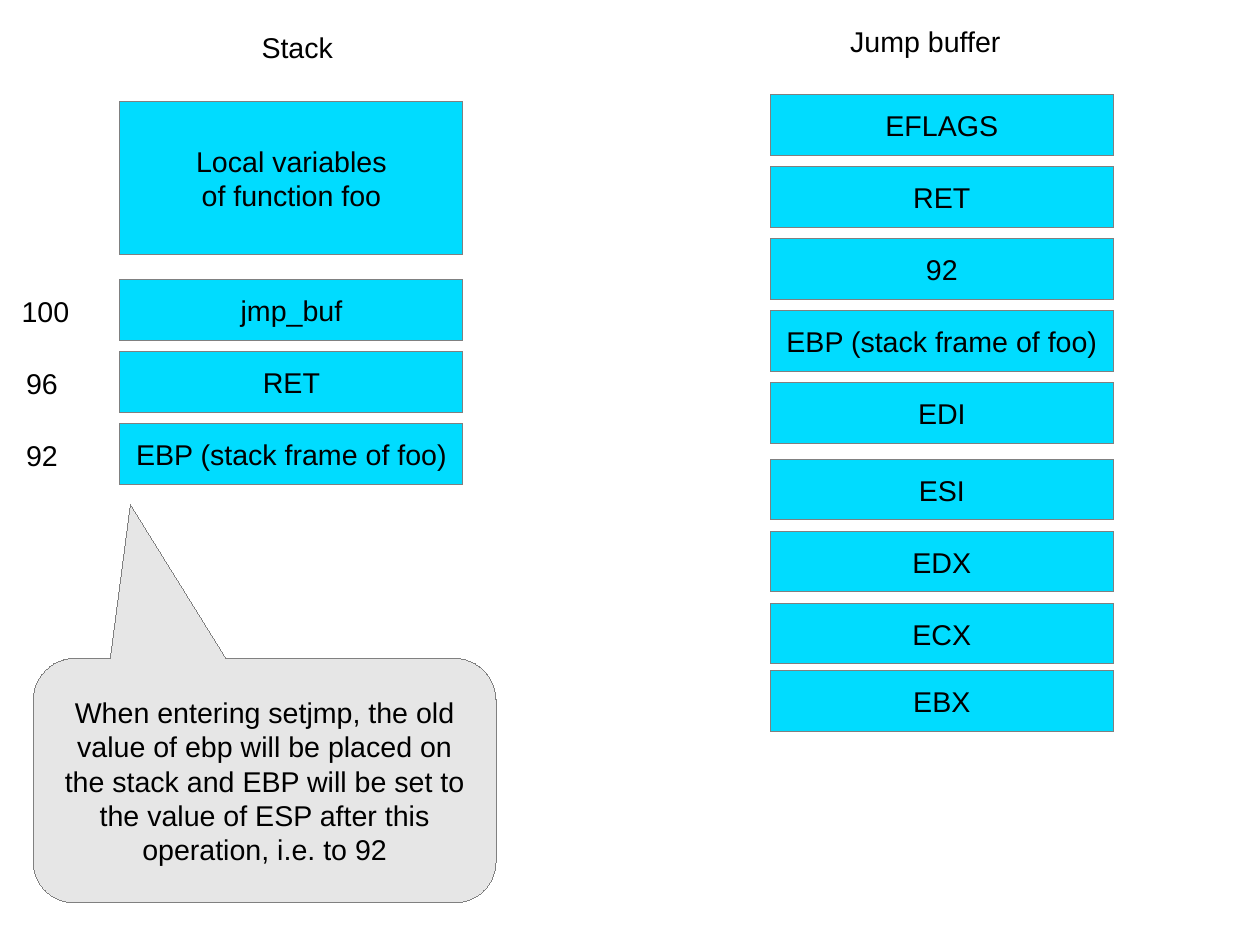
from pptx import Presentation
from pptx.dml.color import RGBColor
from pptx.enum.shapes import MSO_SHAPE as Preset
from pptx.enum.text import MSO_ANCHOR as Anchor, MSO_AUTO_SIZE as AutoSize, PP_ALIGN as Align
from pptx.util import Inches, Pt

COLORS = {"cell": "00DCFF", "callout": "E6E6E6", "outline": "808080", "text": "000000"}
CELL_HEIGHT = 0.53
CELL_PITCH = 0.63
HAIRLINE = Pt(0.01)


def write(frame, text, align=Align.LEFT):
    """Put text in a frame and format its runs."""
    frame.text = text
    for paragraph in frame.paragraphs:
        paragraph.alignment = align
        for run in paragraph.runs:
            run.font.name = "Arial"
            run.font.size = Pt(18)
            run.font.color.rgb = RGBColor.from_string(COLORS["text"])


def add_label(slide, text, left, top, width):
    """Add a left-aligned line of text without a border."""
    label = slide.shapes.add_textbox(Inches(left), Inches(top), Inches(width), Inches(0.38))
    label.text_frame.word_wrap = True
    label.text_frame.auto_size = AutoSize.SHAPE_TO_FIT_TEXT
    write(label.text_frame, text)


def add_block(slide, preset, text, box, fill, wrap):
    """Add a filled, outlined shape with centred text."""
    block = slide.shapes.add_shape(preset, *map(Inches, box))
    block.shadow.inherit = False
    block.fill.solid()
    block.fill.fore_color.rgb = RGBColor.from_string(COLORS[fill])
    block.line.color.rgb = RGBColor.from_string(COLORS["outline"])
    block.line.width = HAIRLINE
    block.text_frame.word_wrap = wrap
    block.text_frame.vertical_anchor = Anchor.MIDDLE
    write(block.text_frame, text, Align.CENTER)
    return block


def add_cell(slide, text, left, top, width, height=CELL_HEIGHT):
    """Add one memory cell."""
    add_block(slide, Preset.RECTANGLE, text, (left, top, width, height), "cell", False)


def add_stack(slide, left, top, width):
    """Draw the stack with its title and the address of each slot."""
    add_label(slide, "Stack", left + 1.14, top - 0.68, 4)
    add_cell(slide, "Local variables\vof function foo", left, top, width, 1.34)
    slots = [("100", "jmp_buf", 0.96), ("96", "RET", 0.92), ("92", "EBP (stack frame of foo)", 0.92)]
    for index, (address, content, indent) in enumerate(slots):
        slot_top = top + 1.56 + index * CELL_PITCH
        add_cell(slide, content, left, slot_top, width)
        add_label(slide, address, left - indent, slot_top + 0.07, 0.86)


def add_jump_buffer(slide, left, top, width):
    """Draw the jump buffer with its title and saved registers."""
    add_label(slide, "Jump buffer", left + 0.6, top - 0.67, 4)
    groups = [
        (0, ["EFLAGS", "RET", "92", "EBP (stack frame of foo)", "EDI"]),
        (3.19, ["ESI", "EDX", "ECX"]),
        (5.04, ["EBX"]),
    ]
    for offset, registers in groups:
        for index, register in enumerate(registers):
            add_cell(slide, register, left, top + offset + index * CELL_PITCH, width)


def add_callout(slide, left, top, width, height):
    """Draw the explanation that points at the bottom of the stack."""
    explanation = (
        "When entering setjmp, the old value of ebp will be placed on the stack "
        "and EBP will be set to the value of ESP after this operation, i.e. to 92"
    )
    callout = add_block(slide, Preset.ROUNDED_RECTANGULAR_CALLOUT, explanation,
                        (left, top, width, height), "callout", True)
    for index, value in enumerate((-0.29, -1.13, 0.17)):
        callout.adjustments[index] = value


def main():
    """Build the slide and save it."""
    deck = Presentation()
    deck.slide_width = Inches(28 / 2.54)
    deck.slide_height = Inches(21 / 2.54)
    slide = deck.slides.add_slide(deck.slide_layouts[6])
    add_stack(slide, 1.05, 0.89, 3)
    add_jump_buffer(slide, 6.74, 0.83, 3)
    add_callout(slide, 0.29, 5.76, 4.05, 2.14)
    deck.save("out.pptx")


if __name__ == "__main__":
    main()
